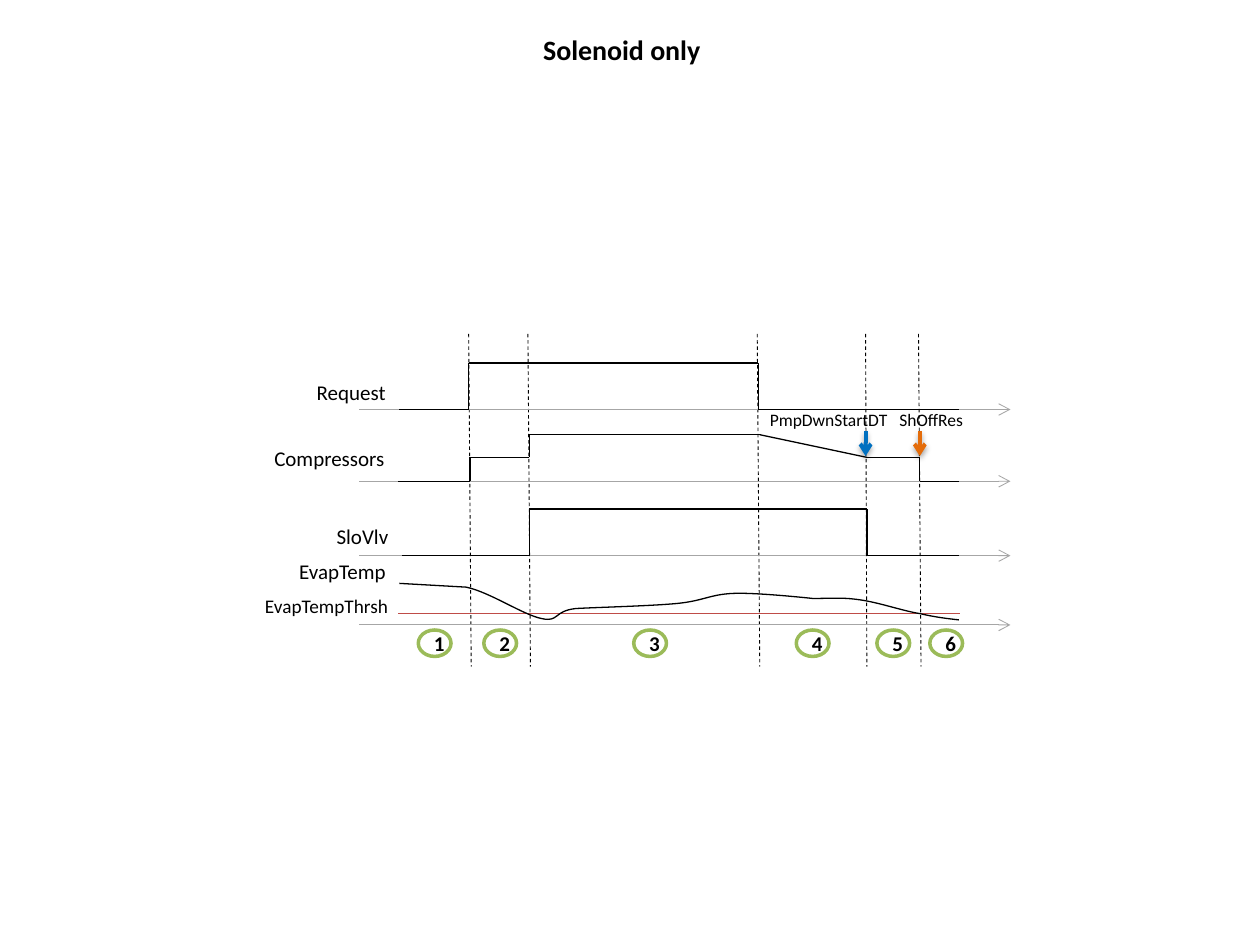
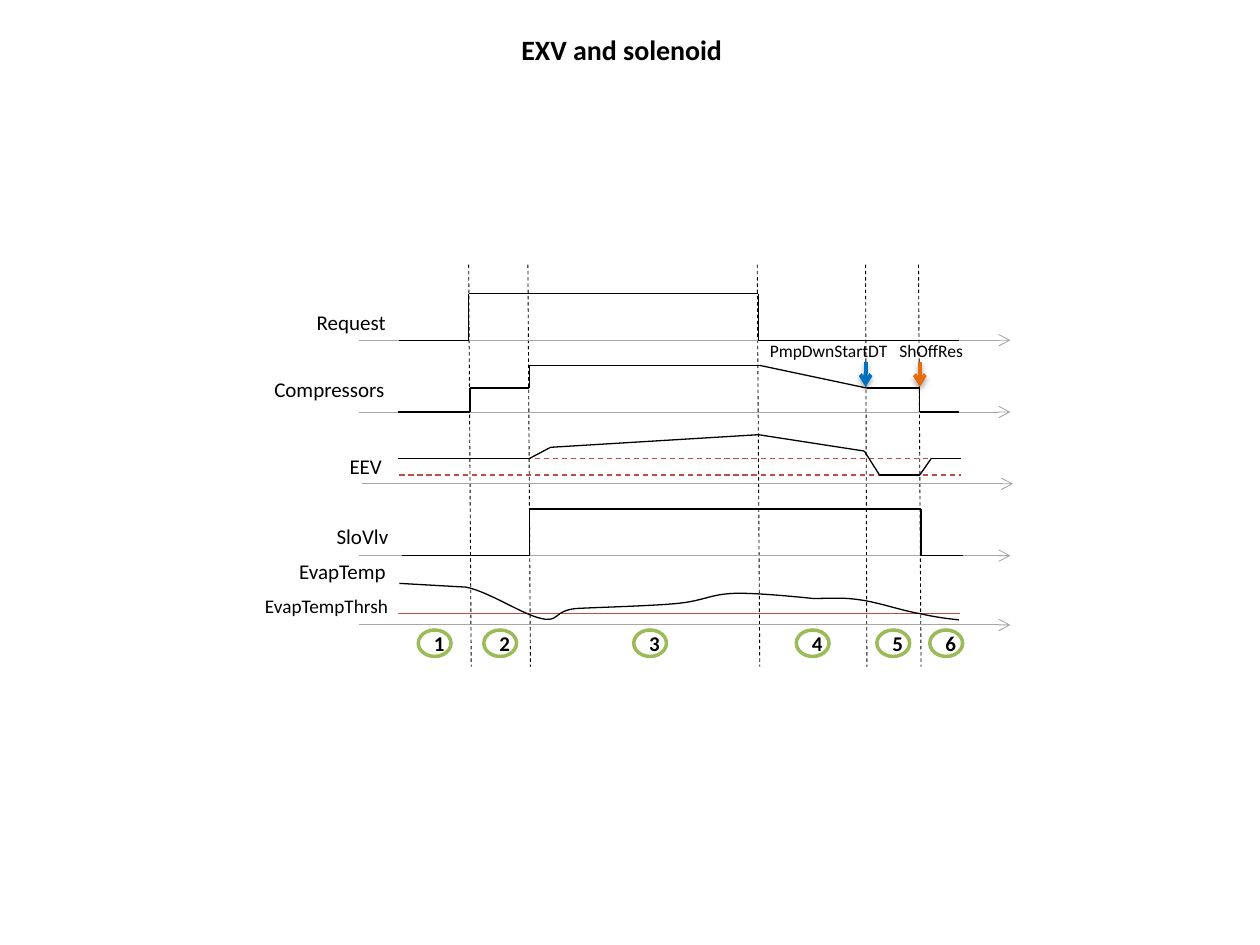
from lxml import etree
from pptx import Presentation
from pptx import util as u
from pptx.dml.color import RGBColor
from pptx.enum import dml, shapes, text
from pptx.oxml import parse_xml
from pptx.oxml.ns import nsdecls, qn

BLACK, GREY, RED = "000000", "A6A6A6", "BF4C48"
GREEN, BLUE, ORANGE, WHITE = "9BBB59", "0070C0", "E46C0A", "FFFFFF"
FONT = "Calibri"
ALIGN = text.PP_ALIGN

# Phase borders: x at the top and at the bottom
BORDERS = [(3.72, 3.74), (4.19, 4.21), (6.01, 6.03), (6.87, 6.88), (7.29, 7.31)]
PHASES = [3.32, 3.84, 5.03, 6.32, 6.96, 7.38]

# Signals, drawn for the low layout; the upper two can be lifted
REQUEST = [(3.17, 3.25), (3.72, 3.25), (3.72, 2.88), (6.02, 2.88),
           (6.02, 3.25), (7.61, 3.25)]
COMPRESS = [(3.16, 3.82), (3.73, 3.82), (3.73, 3.63), (4.2, 3.63),
            (4.2, 3.45), (6.03, 3.45), (6.88, 3.63), (7.3, 3.63),
            (7.3, 3.82), (7.61, 3.82)]
EEV = [(3.16, 3.64), (4.2, 3.64), (4.37, 3.55), (6.02, 3.45), (6.86, 3.58),
       (6.98, 3.77), (7.3, 3.77), (7.39, 3.64), (7.63, 3.64)]

# Temperature: start, end of the straight part, then three points per curve
TEMP = [(3.17, 4.63), (3.7, 4.66),
        (3.89, 4.7), (4.15, 4.88), (4.3, 4.91),
        (4.44, 4.94), (4.39, 4.85), (4.57, 4.83),
        (4.75, 4.82), (5.16, 4.81), (5.37, 4.79),
        (5.58, 4.77), (5.63, 4.72), (5.81, 4.71),
        (5.99, 4.7), (6.45, 4.75), (6.45, 4.75),
        (6.62, 4.75), (6.68, 4.74), (6.82, 4.76),
        (6.97, 4.78), (7.17, 4.85), (7.3, 4.87),
        (7.43, 4.9), (7.52, 4.91), (7.61, 4.92)]

SHADE = (f'<a:effectLst {nsdecls("a")}><a:outerShdw blurRad="40000" '
         'dist="23000" dir="5400000" rotWithShape="0"><a:srgbClr val="000000">'
         '<a:alpha val="35000"/></a:srgbClr></a:outerShdw></a:effectLst>')
PLAIN = f'<a:effectLst {nsdecls("a")}/>'


def rgb(code):
    return RGBColor.from_string(code)


def write(frame, words, size, align, bold=False):
    frame.text = words
    frame.word_wrap = True
    para = frame.paragraphs[0]
    para.alignment = align
    font = para.runs[0].font
    font.name, font.size, font.bold = FONT, u.Pt(size), bold
    font.color.rgb = rgb(BLACK)


def label(slide, words, left, top, width, size=12):
    box = slide.shapes.add_textbox(u.Inches(left), u.Inches(top),
                                   u.Inches(width), u.Inches(0.3))
    write(box.text_frame, words, size, ALIGN.RIGHT)


def line(slide, start, end, color=BLACK, width=0.75, dash=False,
         arrow=False, shade=False):
    ends = [u.Inches(n) for n in (*start, *end)]
    link = slide.shapes.add_connector(shapes.MSO_CONNECTOR.STRAIGHT, *ends)
    link.line.color.rgb = rgb(color)
    link.line.width = u.Pt(width)
    if dash:
        link.line.dash_style = dml.MSO_LINE.DASH
    props = link._element.spPr
    if arrow:
        etree.SubElement(props.find(qn("a:ln")), qn("a:tailEnd"), type="arrow")
    props.append(parse_xml(SHADE if shade else PLAIN))


def trace(slide, points, lift=0):
    spots = [(x, y - lift) for x, y in points]
    for start, end in zip(spots, spots[1:]):
        line(slide, start, end)


def axis(slide, y, left=2.85):
    line(slide, (left, y), (left + 5.17, y), GREY, 0.5, arrow=True)


def curve(slide, points):
    spots = [(u.Inches(x), u.Inches(y)) for x, y in points]
    build = slide.shapes.build_freeform(*spots[0])
    build.add_line_segments(spots[1:], close=False)
    shape = build.convert_to_shape()
    shape.shadow.inherit = False
    shape.fill.background()
    shape.line.color.rgb = rgb(BLACK)
    shape.line.width = u.Pt(0.75)
    # Fold each three points after the straight part into one Bezier
    route = shape._element.find(".//" + qn("a:path"))
    steps = route.findall(qn("a:lnTo"))[1:]
    for i in range(0, len(steps), 3):
        bend = etree.SubElement(route, qn("a:cubicBezTo"))
        for step in steps[i:i + 3]:
            bend.append(step[0])
            route.remove(step)


def badge(slide, number, left):
    oval = slide.shapes.add_shape(
        shapes.MSO_SHAPE.OVAL, u.Inches(left), u.Inches(5),
        u.Inches(0.26), u.Inches(0.21))
    oval.shadow.inherit = False
    oval.fill.solid()
    oval.fill.fore_color.rgb = rgb(WHITE)
    oval.line.color.rgb = rgb(GREEN)
    oval.line.width = u.Pt(2)
    write(oval.text_frame, str(number), 12, ALIGN.CENTER, True)


def head(slide, words):
    title = slide.shapes.title
    title.left, title.top = u.Inches(2.84), u.Inches(0.21)
    title.width, title.height = u.Inches(4.19), u.Inches(0.37)
    title.text_frame.vertical_anchor = text.MSO_ANCHOR.TOP
    write(title.text_frame, words, 16, ALIGN.CENTER, True)


def valve(slide):
    # Expansion valve with its two dashed limits
    for y in (3.64, 3.77):
        line(slide, (3.17, y), (7.63, y), RED, dash=True)
    axis(slide, 3.84, 2.87)
    trace(slide, EEV)
    label(slide, "EEV", 2.3, 3.55, 0.83)


def chart(deck, name, lift, shut, stop):
    """Timing chart; the solenoid closes at x = shut, its line ends at stop."""
    slide = deck.slides.add_slide(deck.slide_layouts[5])
    head(slide, name)

    # Phase borders and numbers
    for top, foot in BORDERS:
        line(slide, (top, 2.65 - lift), (foot, 5.29), BLACK, 0.5, dash=True)
    for number, left in enumerate(PHASES, 1):
        badge(slide, number, left)

    # Time axes
    for y in (3.25 - lift, 3.82 - lift, 4.41, 4.96):
        axis(slide, y)

    # Signals
    line(slide, (3.16, 4.87), (7.62, 4.87), RED)
    trace(slide, REQUEST, lift)
    trace(slide, COMPRESS, lift)
    trace(slide, [(3.19, 4.41), (4.2, 4.41), (4.2, 4.04), (shut, 4.04),
                  (shut, 4.41), (stop, 4.41)])
    curve(slide, TEMP)

    # Signal names
    label(slide, "Request", 2.33, 2.96 - lift, 0.83)
    label(slide, "Compressors", 2.06, 3.49 - lift, 1.09)
    label(slide, "SloVlv", 1.93, 4.11, 1.25)
    label(slide, "EvapTemp", 1.91, 4.38, 1.25)
    label(slide, "EvapTempThrsh", 1.83, 4.67, 1.35, 11)

    # Events
    label(slide, "ShOffRes", 6.97, 3.2 - lift, 0.77, 10)
    label(slide, "PmpDwnStartDT", 5.94, 3.2 - lift, 1.2, 10)
    for x, color in ((7.3, ORANGE), (6.87, BLUE)):
        line(slide, (x, 3.42 - lift), (x, 3.62 - lift), color, 2.25,
             arrow=True, shade=True)
    return slide


def main():
    deck = Presentation()
    deck.slide_width, deck.slide_height = u.Inches(10), u.Inches(7.5)
    chart(deck, "Solenoid only", 0, 6.88, 7.61)
    valve(chart(deck, "EXV and solenoid", 0.55, 7.31, 7.64))
    deck.save("out.pptx")


main()
